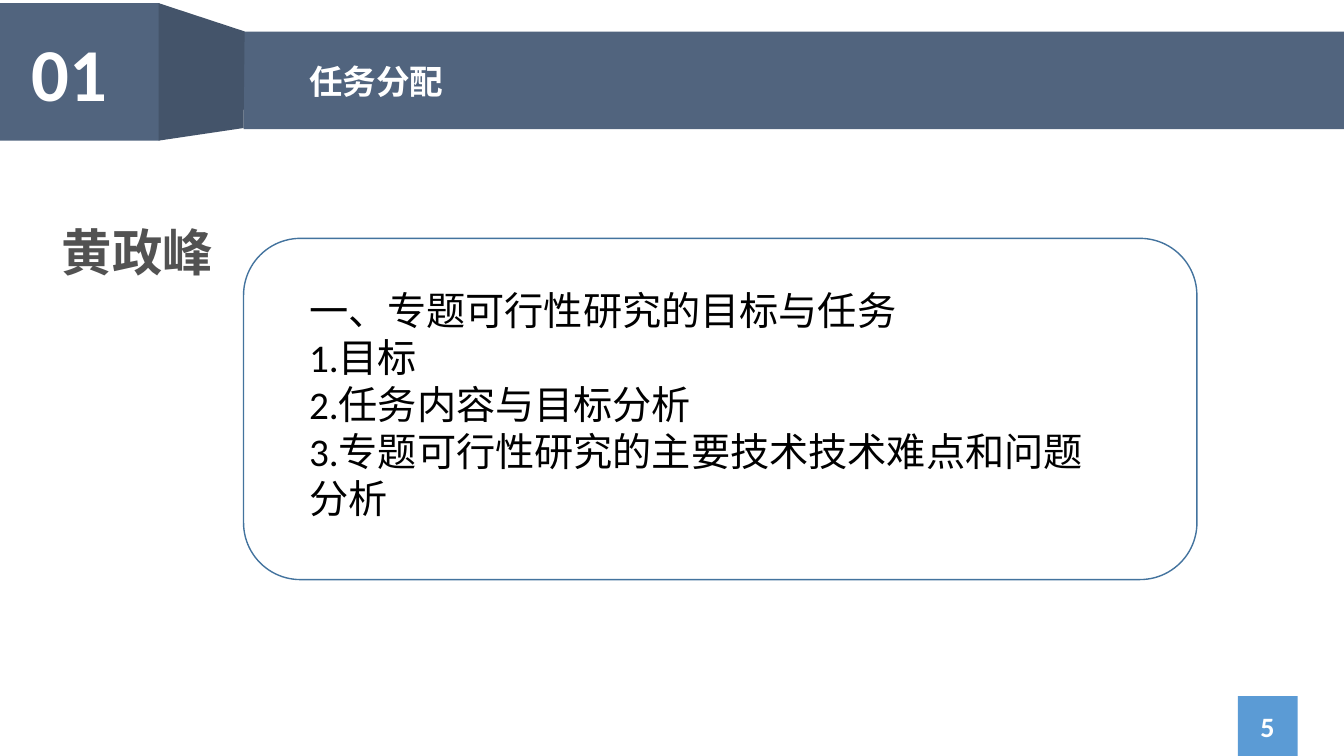
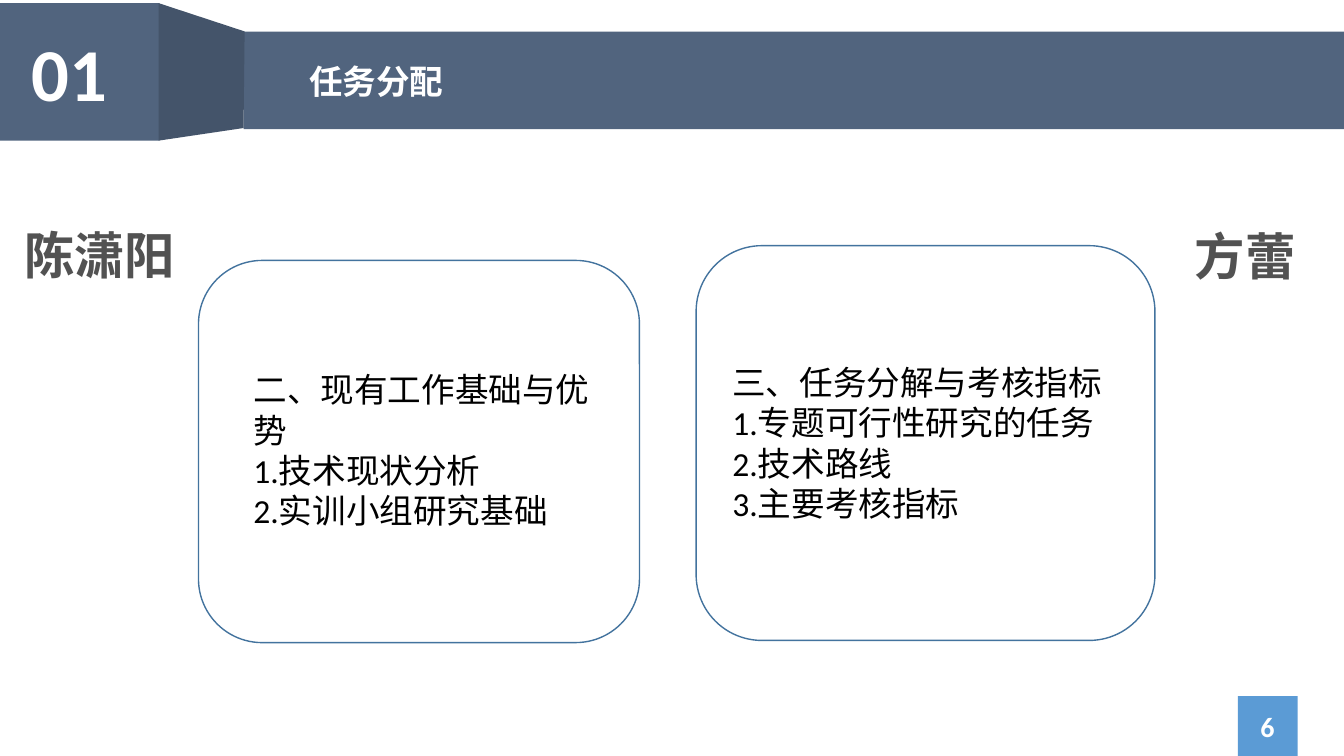
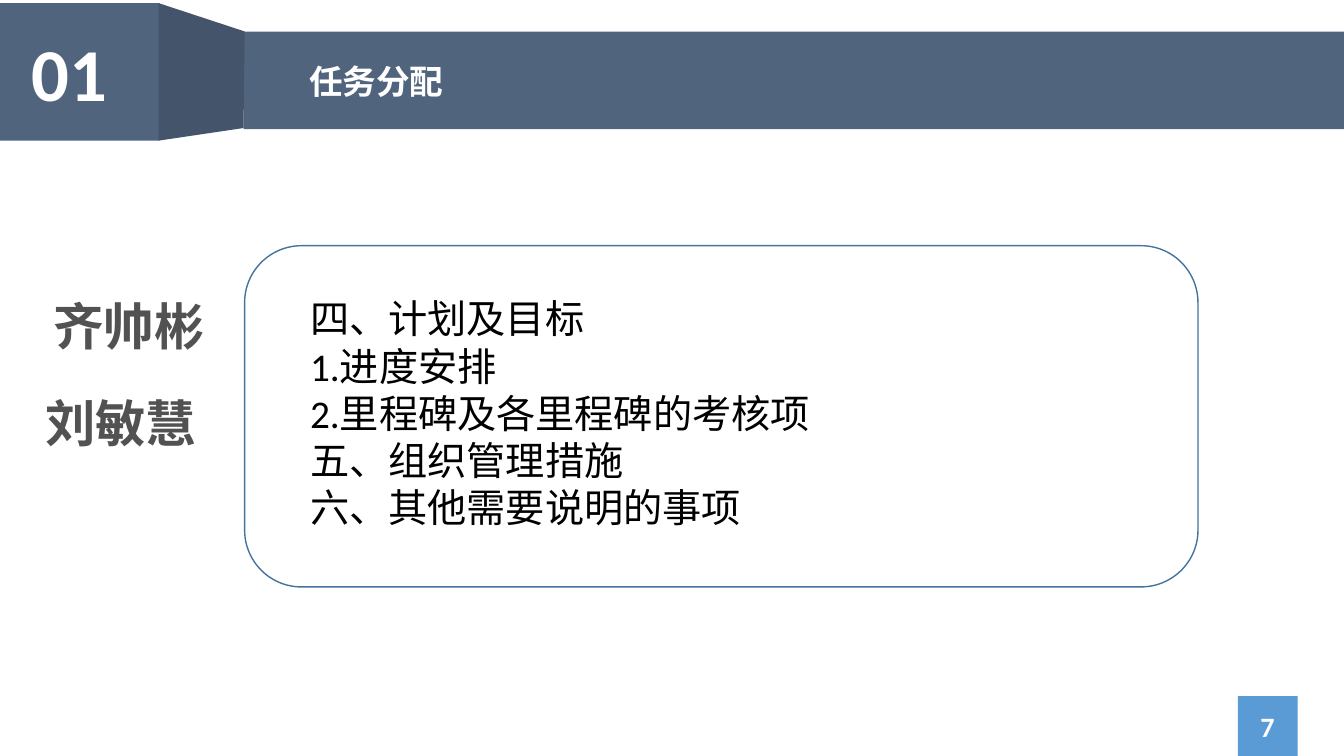
from dataclasses import dataclass

from lxml import etree
from pptx import Presentation
from pptx.dml.color import RGBColor
from pptx.enum.shapes import MSO_SHAPE
from pptx.enum.text import MSO_ANCHOR, PP_ALIGN
from pptx.oxml.ns import qn
from pptx.util import Pt

RECT, CARD = MSO_SHAPE.RECTANGLE, MSO_SHAPE.FLOWCHART_ALTERNATE_PROCESS
LEFT, CENTER = PP_ALIGN.LEFT, PP_ALIGN.CENTER
TOP, MIDDLE = MSO_ANCHOR.TOP, MSO_ANCHOR.MIDDLE
PX = 9525  # EMU per px, 96 px to the inch
WIDTH, HEIGHT = 1280, 720


@dataclass(frozen=True)
class Theme:
    band: str = "51647E"
    fold: str = "44546A"
    badge: str = "5B9BD5"
    outline: str = "43739E"
    name: str = "525252"
    body: str = "000000"
    white: str = "FFFFFF"
    latin: str = "Calibri"
    cjk: str = "Noto Sans CJK SC"
    section_pt: float = 53.3
    name_pt: int = 36
    large_pt: int = 28
    medium_pt: int = 24
    page_pt: int = 20


T = Theme()


def emu(*lengths):
    return [n * PX for n in lengths]


def paint(sp, fill, line=None):
    sp.shadow.inherit = False
    sp.fill.solid()
    sp.fill.fore_color.rgb = RGBColor.from_string(fill)
    if line:
        sp.line.color.rgb = RGBColor.from_string(line)
        sp.line.width = Pt(1)
    else:
        sp.line.fill.background()


def add_box(s, kind, box, fill, line=None):
    paint(s.shapes.add_shape(kind, *emu(*box)), fill, line)


def add_text(s, box, lines, size, color, font=T.latin, bold=False,
             align=LEFT, anchor=TOP, wrap=True, spacing=None):
    tf = s.shapes.add_textbox(*emu(*box)).text_frame
    tf.word_wrap, tf.vertical_anchor = wrap, anchor
    tf.text = "\n".join(lines)
    for p in tf.paragraphs:
        p.alignment = align
        if spacing:
            p.line_spacing = spacing
        f = p.font
        f.size, f.bold = Pt(size), bold
        f.color.rgb = RGBColor.from_string(color)
        f.name = font
        # East Asian typeface follows the Latin one
        latin = p._p.pPr.find(qn("a:defRPr")).find(qn("a:latin"))
        ea = etree.Element(qn("a:ea"), typeface=T.cjk)
        latin.addnext(ea)


def add_header(s, box, number, title):
    x, y, w, h = box
    # Title band, section block and the fold that joins them
    add_box(s, RECT, (x + 232, y + 27, w - 232, 93), T.band)
    add_box(s, RECT, (x, y, 152, h), T.band)
    fb = s.shapes.build_freeform(x + 151, y, scale=PX)
    fb.add_line_segments([(x + 233, y + 27), (x + 232, y + 119), (x + 151, y + h)])
    paint(fb.convert_to_shape(), T.fold)
    # Section number and title
    add_text(s, (x + 21, y + 18, 92, 96), [number], T.section_pt, T.white,
             bold=True, wrap=False)
    add_text(s, (x + 285, y + 39, 938, 55), [title], T.medium_pt, T.white,
             font=T.cjk, bold=True, spacing=1.3)


def add_page_number(s, box, number):
    x, y, w, h = box
    add_box(s, RECT, box, T.badge)
    add_text(s, (x - 45, y + 10, w + 89, 38), [str(number)], T.page_pt, T.white,
             bold=True, align=CENTER, anchor=MIDDLE)


def add_name(s, box, name):
    add_text(s, box, [name], T.name_pt, T.name, font=T.cjk, bold=True, align=CENTER)


def add_task_card(s, box, text_at, text_width, lines, size):
    x, y, w, h = box
    dx, dy = text_at
    add_box(s, CARD, box, T.white, T.outline)
    add_text(s, (x + dx, y + dy, text_width, h - 2 * dy), lines, size, T.body)


def add_task_slide(prs, page, names, cards):
    s = prs.slides.add_slide(prs.slide_layouts[6])
    add_page_number(s, (1179, 663, 57, 57), page)
    for name in names:
        add_name(s, *name)
    for card in cards:
        add_task_card(s, *card)
    add_header(s, (0, 3, WIDTH, 131), "01", "任务分配")


# Per slide: names (box, text), cards (box, text offset, text width, lines, size)
SLIDES = [
    ([((29, 206, 204, 68), "黄政峰")],
     [((232, 227, 908, 325), (53, 41), 781,
       ["一、专题可行性研究的目标与任务", "1.目标", "2.任务内容与目标分析",
        "3.专题可行性研究的主要技术技术难点和问题分析"], T.large_pt)]),
    ([((9, 209, 172, 68), "陈潇阳"), ((1100, 210, 172, 68), "方蕾")],
     [((189, 248, 420, 364), (43, 99), 353,
       ["二、现有工作基础与优势", "1.技术现状分析", "2.实训小组研究基础"],
       T.medium_pt),
      ((663, 234, 437, 376), (25, 106), 387,
       ["三、任务分解与考核指标", "1.专题可行性研究的任务", "2.技术路线",
        "3.主要考核指标"], T.medium_pt)]),
    ([((21, 276, 204, 68), "齐帅彬"), ((13, 369, 204, 68), "刘敏慧")],
     [((233, 234, 908, 325), (53, 42), 781,
       ["四、计划及目标", "1.进度安排", "2.里程碑及各里程碑的考核项",
        "五、组织管理措施", "六、其他需要说明的事项"], T.large_pt)]),
]


def main():
    prs = Presentation()
    prs.slide_width, prs.slide_height = emu(WIDTH, HEIGHT)
    for page, (names, cards) in enumerate(SLIDES, start=5):
        add_task_slide(prs, page, names, cards)
    prs.save("out.pptx")


if __name__ == "__main__":
    main()
